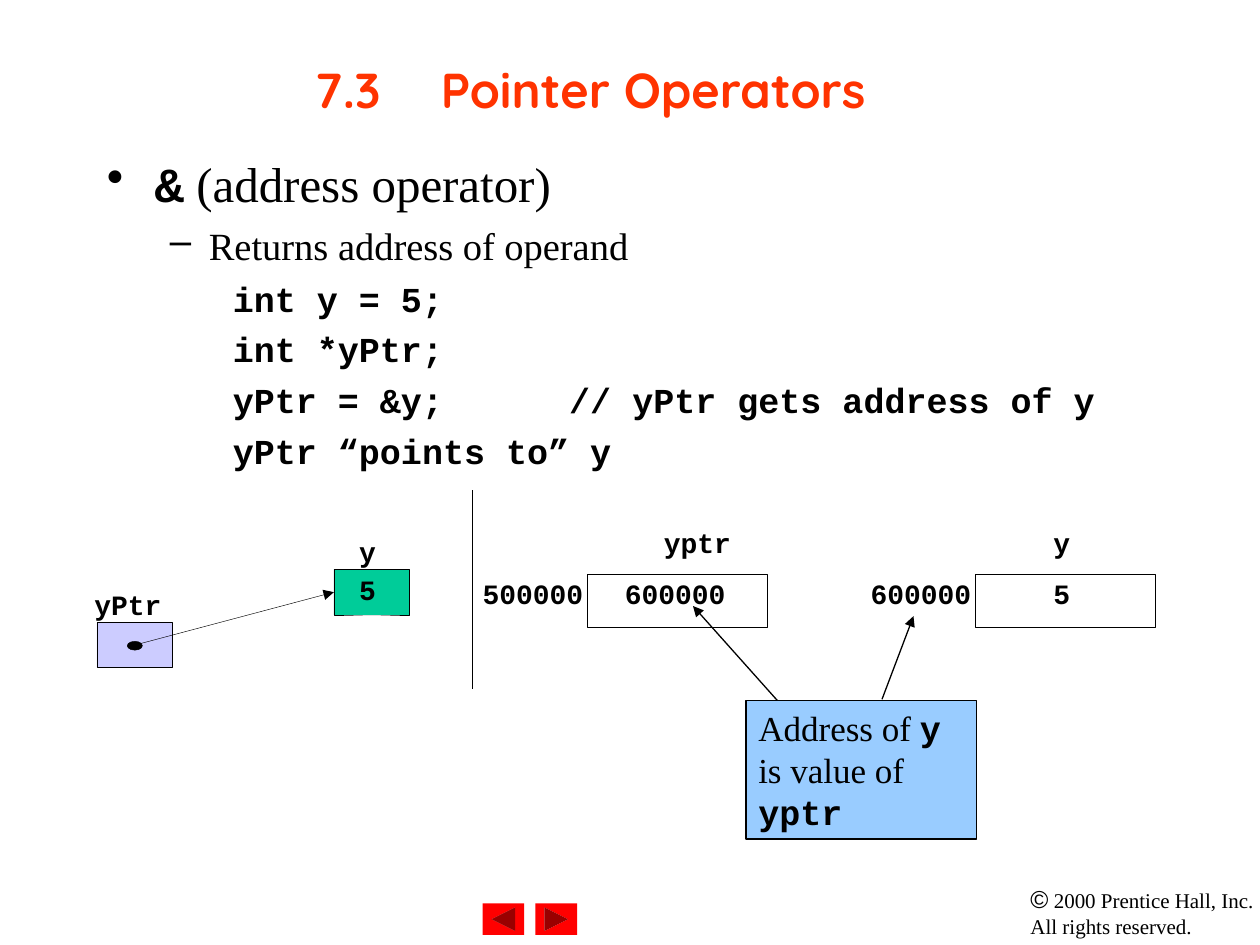
from dataclasses import dataclass
from lxml.etree import SubElement
from pptx import Presentation
from pptx.dml.color import RGBColor
from pptx.enum.shapes import MSO_CONNECTOR, MSO_SHAPE
from pptx.enum.text import MSO_ANCHOR, PP_ALIGN
from pptx.oxml.ns import qn
from pptx.util import Inches, Pt


@dataclass(frozen=True)
class Theme:
    ink: str = "000000"
    title: str = "FF3300"
    pointer: str = "CCCCFF"
    value: str = "00CC99"
    callout: str = "99CCFF"
    button: str = "FF0000"
    heading: str = "Quicksand"
    serif: str = "Times New Roman"
    code: str = "Courier New"
    symbol: str = "Arial"
    large: int = 28
    medium: int = 22
    normal: int = 20
    label: int = 16
    mark: int = 14
    small: int = 12
    thin: float = 0.25
    rule: float = 0.75


theme = Theme()

TITLE = "7.3\tPointer Operators\t"
CODE = ["int y = 5;", "int *yPtr;", "yPtr = &y;      // yPtr gets address of y", "yPtr “points to” y"]
POINTS = [
    (0, "•", 0.38, 0.38, 0, [("&", theme.code, theme.large), (" (address operator)", theme.serif, theme.large)]),
    (1, "–", 0.81, 0.31, 5.5, [("Returns address of operand", theme.serif, theme.medium)]),
] + [(2, None, 1.25, 0.25, 5, [(line, theme.code, theme.normal)]) for line in CODE]
CALLOUT = [("Address of ", theme.serif), ("y", theme.code), (" is value of ", theme.serif), ("yptr", theme.code)]
COPYRIGHT = [("©", theme.symbol, theme.mark), (" 2000 Prentice Hall, Inc.\vAll rights reserved.", theme.serif, theme.small)]

DIAGRAM_LABELS = [("yPtr", 0.75, 4.73, 0.63), ("y", 2.85, 4.31, 0.2), ("5", 2.85, 4.61, 0.2)]
NAME_TOP, CELL_TOP, NUMBER_TOP = 4.22, 4.56, 4.63
CELL_WIDTH, CELL_HEIGHT = 1.43, 0.42
MEMORY = [
    (4.66, "500000", [("yptr", 5.27, NAME_TOP, 0.56), ("600000", 4.96, NUMBER_TOP, 0.82)]),
    (7.74, "600000", [("y", 8.36, NAME_TOP, 0.17), ("5", 8.36, NUMBER_TOP, 0.17)]),
]
CALLOUT_ARROWS = [((7, 5.55), (7.25, 4.89)), ((6.17, 5.56), (5.5, 4.81))]
BUTTONS = [(4.25, MSO_SHAPE.ACTION_BUTTON_FORWARD_OR_NEXT), (3.83, MSO_SHAPE.ACTION_BUTTON_BACK_OR_PREVIOUS)]


def color(value):
    return RGBColor.from_string(value)


def add_span(para, text, font, size, tint=theme.ink, bold=None):
    span = para.add_run()
    span.text = text
    span.font.name = font
    span.font.size = Pt(size)
    span.font.bold = font == theme.code if bold is None else bold
    span.font.color.rgb = color(tint)


def add_tabs(para):
    stops = SubElement(para._p.get_or_add_pPr(), qn("a:tabLst"))
    for inch in range(1, 8):
        SubElement(stops, qn("a:tab"), pos=str(Inches(inch)), algn="l")


def add_bullet(para, mark, left, hang):
    props = para._p.get_or_add_pPr()
    props.set("marL", str(Inches(left)))
    props.set("indent", str(-Inches(hang)))
    if mark:
        tint = SubElement(props, qn("a:buClr"))
        SubElement(tint, qn("a:srgbClr"), val=theme.ink)
        SubElement(props, qn("a:buChar"), char=mark)
    else:
        SubElement(props, qn("a:buNone"))


def add_box(page, left, top, width, height):
    box = page.shapes.add_textbox(*map(Inches, (left, top, width, height)))
    box.text_frame.word_wrap = True
    return box.text_frame


def add_label(page, text, left, top, width, spacing):
    frame = add_box(page, left, top, width, 0.32 if spacing == 0.8 else 0.21)
    frame.margin_left = frame.margin_right = frame.margin_top = frame.margin_bottom = 0
    para = frame.paragraphs[0]
    para.line_spacing = spacing
    add_span(para, text, theme.code, theme.label)


def add_figure(page, kind, left, top, width, height, fill=None, weight=theme.thin):
    figure = page.shapes.add_shape(kind, *map(Inches, (left, top, width, height)))
    figure.shadow.inherit = False
    if fill:
        figure.fill.solid()
        figure.fill.fore_color.rgb = color(fill)
    else:
        figure.fill.background()
    if weight:
        figure.line.color.rgb = color(theme.ink)
        figure.line.width = Pt(weight)
    else:
        figure.line.fill.background()
    return figure


def add_line(page, start, end, weight=theme.rule, arrow=True):
    line = page.shapes.add_connector(MSO_CONNECTOR.STRAIGHT, *map(Inches, (*start, *end)))
    line.line.color.rgb = color(theme.ink)
    line.line.width = Pt(weight)
    if arrow:
        SubElement(line.line._get_or_add_ln(), qn("a:tailEnd"), type="triangle")
    SubElement(line._element.spPr, qn("a:effectLst"))
    return line


def add_texts(page):
    footer = add_box(page, 8.08, 6.97, 3.92, 0.54).paragraphs[0]
    for text, font, size in COPYRIGHT:
        for index, part in enumerate(text.split("\v")):
            if index:
                footer.add_line_break()
            add_span(footer, part, font, size)

    frame = add_box(page, 0.75, 0.08, 8.5, 1.25)
    frame.vertical_anchor = MSO_ANCHOR.MIDDLE
    title = frame.paragraphs[0]
    title.alignment = PP_ALIGN.CENTER
    add_tabs(title)
    add_span(title, TITLE, theme.heading, theme.large, theme.title, True)

    body = add_box(page, 0.75, 1.17, 8.5, 5.92)
    for index, (level, mark, left, hang, before, spans) in enumerate(POINTS):
        para = body.add_paragraph() if index else body.paragraphs[0]
        para.level = level
        add_bullet(para, mark, left, hang)
        if before:
            para.space_before = Pt(before)
        for span in spans:
            add_span(para, *span)


def add_pointer_diagram(page):
    add_figure(page, MSO_SHAPE.RECTANGLE, 0.77, 4.94, 0.6, 0.36, theme.pointer)
    value = add_figure(page, MSO_SHAPE.RECTANGLE, 2.65, 4.52, 0.6, 0.36, theme.value)
    arrow = add_line(page, (1.07, 5.12), (2.65, 4.7), theme.thin)
    arrow.end_connect(value, 1)
    add_figure(page, MSO_SHAPE.OVAL, 1.01, 5.09, 0.12, 0.07, theme.ink)
    for label in DIAGRAM_LABELS:
        add_label(page, *label, 0.72)


def add_memory_diagram(page):
    for left, address, labels in MEMORY:
        add_figure(page, MSO_SHAPE.RECTANGLE, left, CELL_TOP, CELL_WIDTH, CELL_HEIGHT)
        for label in [(address, left - 0.83, NUMBER_TOP, 0.82)] + labels:
            add_label(page, *label, 0.8)
    add_line(page, (3.75, 3.89), (3.75, 5.47), arrow=False)
    callout = add_figure(page, MSO_SHAPE.RECTANGLE, 5.92, 5.56, 1.83, 1.1, theme.callout, theme.rule)
    frame = callout.text_frame
    frame.word_wrap = True
    frame.vertical_anchor = MSO_ANCHOR.TOP
    para = frame.paragraphs[0]
    para.alignment = PP_ALIGN.LEFT
    for text, font in CALLOUT:
        add_span(para, text, font, theme.normal)
    for start, end in CALLOUT_ARROWS:
        add_line(page, start, end)


def main():
    deck = Presentation()
    deck.slide_width, deck.slide_height = Inches(10), Inches(7.5)
    page = deck.slides.add_slide(deck.slide_layouts[6])
    for left, kind in BUTTONS:
        add_figure(page, kind, left, 7.17, 0.33, 0.25, theme.button, None)
    add_texts(page)
    add_pointer_diagram(page)
    add_memory_diagram(page)
    deck.save("out.pptx")


if __name__ == "__main__":
    main()
